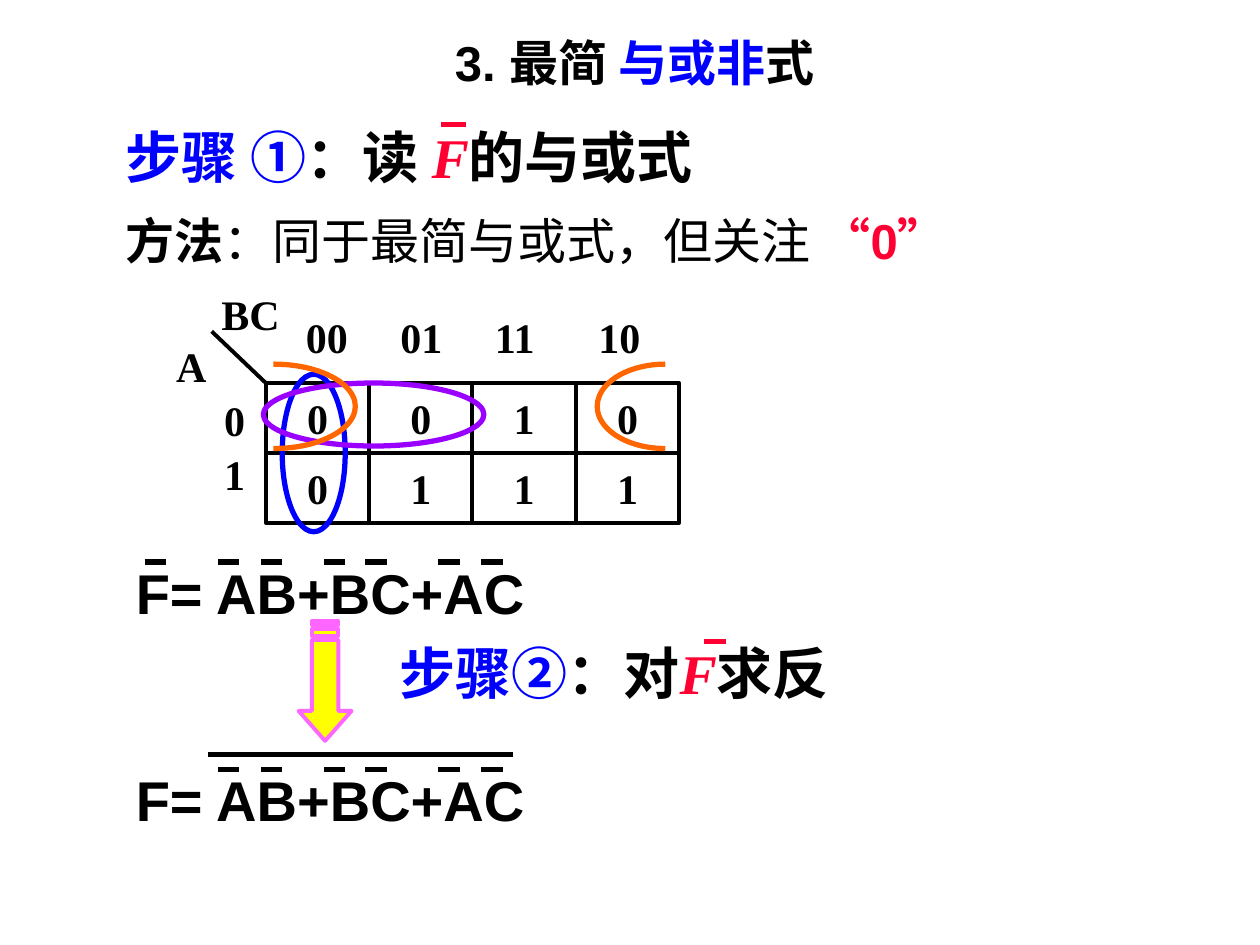
from dataclasses import dataclass

from lxml import etree
from pptx import Presentation
from pptx.dml.color import RGBColor
from pptx.enum import shapes, text
from pptx.oxml.ns import qn
from pptx.util import Inches, Pt


@dataclass(frozen=True)
class Theme:
    black: str = "000000"
    blue: str = "0000FF"
    red: str = "FF0033"
    purple: str = "9900FF"
    orange: str = "FF6600"
    yellow: str = "FFFF00"
    pink: str = "FF66FF"
    sans: str = "Arial"
    serif: str = "Times New Roman"
    cjk: str = "Noto Sans CJK SC"
    step: int = 32
    body: int = 28
    label: int = 24
    thin: float = 2.25
    thick: float = 3


T = Theme()


def add_run(p, content, size, font, color=T.black, bold=True, italic=False):
    r = p.add_run()
    r.text = content
    r.font.size, r.font.name = Pt(size), font
    r.font.bold, r.font.italic = bold, italic
    r.font.color.rgb = RGBColor.from_string(color)
    rpr = r.font._element
    rpr.set("lang", "zh-CN")
    rpr.find(qn("a:latin")).addnext(
        etree.Element(qn("a:ea"), typeface=T.cjk))


def prepare_frame(sp, anchor=text.MSO_ANCHOR.TOP):
    tf = sp.text_frame
    tf.word_wrap = True
    tf.vertical_anchor = anchor
    return tf


def add_text(parent, box, runs):
    """Add a text box; each run is (text, size, font, colour, bold, italic)."""
    sp = parent.add_textbox(*map(Inches, box))
    tf = prepare_frame(sp)
    tf.auto_size = text.MSO_AUTO_SIZE.SHAPE_TO_FIT_TEXT
    p = tf.paragraphs[0]
    for run in runs:
        add_run(p, *run)
    return tf


def add_line(parent, x1, y1, x2, y2, color=T.black, width=T.thin):
    line = parent.add_connector(
        shapes.MSO_CONNECTOR.STRAIGHT, *map(Inches, (x1, y1, x2, y2)))
    line.line.color.rgb = RGBColor.from_string(color)
    line.line.width = Pt(width)
    etree.SubElement(line._element.spPr, qn("a:effectLst"))


def add_outline(parent, kind, box, color, width):
    sp = parent.add_shape(kind, *map(Inches, box))
    sp.shadow.inherit = False
    sp.fill.background()
    sp.line.color.rgb = RGBColor.from_string(color)
    sp.line.width = Pt(width)
    return sp


def add_title(slide, box):
    sp = slide.shapes.title
    sp.left, sp.top, sp.width, sp.height = map(Inches, box)
    tf = prepare_frame(sp)
    tf.auto_size = text.MSO_AUTO_SIZE.NONE
    p = tf.paragraphs[0]
    p.alignment = text.PP_ALIGN.CENTER
    for content, color in (("3. 最简 ", T.black), ("与或非", T.blue), ("式", T.black)):
        add_run(p, content, T.body, T.sans, color)


def add_step(slide, box, heading, tail, bar_x, bar_width):
    """Add a step line whose red F carries an overbar."""
    group = slide.shapes.add_group_shape().shapes
    runs = [(content, T.step, font, color) for content, font, color in heading]
    runs += [("F", T.step, T.serif, T.red, True, True), (tail, T.step, T.serif)]
    add_text(group, box, runs)
    x, y = box[0] + bar_x, box[1] + 0.07
    add_line(group, x, y, x + bar_width, y, T.red, T.thick)


def add_method(slide, box):
    add_text(slide.shapes, box, [
        ("方法", T.body, T.sans),
        ("：同于最简与或式，但关注 ", T.body, T.sans, T.black, False),
        ("“0”", T.body, T.sans, T.red)])


def add_karnaugh_map(slide, box):
    left, top, width, height = box
    values = ("0010", "0111")
    cw, ch = width / 4, height / 2
    right, bottom = left + width, top + height
    group = slide.shapes.add_group_shape().shapes
    for i, row in enumerate(values):
        for j, value in enumerate(row):
            cell = add_outline(group, shapes.MSO_SHAPE.RECTANGLE,
                               (left + j * cw, top + i * ch, cw, ch), T.black, T.thin)
            p = prepare_frame(cell, text.MSO_ANCHOR.MIDDLE).paragraphs[0]
            p.alignment = text.PP_ALIGN.CENTER
            add_run(p, value, T.label, T.serif)
    for i in range(3):
        add_line(group, left, top + i * ch, right, top + i * ch)
    for j in range(5):
        add_line(group, left + j * cw, top, left + j * cw, bottom)
    add_line(group, left - 0.43, top - 0.41, left, top)

    def label(dx, dy, w, h, content):
        return add_text(group, (left + dx, top + dy, w, h),
                        [(content, T.label, T.serif)])

    columns = label(0.22, -0.62, 3.05, 0.5, "00\t01\t11\t10")
    ppr = columns.paragraphs[0]._p.get_or_add_pPr()
    tabs = etree.SubElement(ppr, qn("a:tabLst"))
    for stop in (0.75, 1.5, 2.32):
        etree.SubElement(tabs, qn("a:tab"), pos=str(Inches(stop)), algn="l")

    rows = label(-0.43, 0.17, 0.49, 0.82, "0")
    second = rows.add_paragraph()
    add_run(second, "1", T.label, T.serif)
    second.space_before = Pt(T.label / 2)
    for p in rows.paragraphs:
        p.line_spacing = 0.65
    label(-0.81, -0.39, 0.43, 0.5, "A")
    label(-0.45, -0.8, 1, 0.5, "BC")

    kinds = shapes.MSO_SHAPE
    for kind, dx, dy, w, h, color in (
            (kinds.OVAL, 0.13, -0.07, 0.5, 1.25, T.blue),
            (kinds.OVAL, -0.02, 0, 1.75, 0.5, T.purple),
            (kinds.RIGHT_BRACKET, 0.06, -0.15, 0.65, 0.67, T.orange),
            (kinds.LEFT_BRACKET, 2.63, -0.15, 0.54, 0.67, T.orange)):
        loop = add_outline(slide.shapes, kind, (left + dx, top + dy, w, h),
                           color, T.thick)
        if kind != kinds.OVAL:
            loop.adjustments[0] = h / w / 2


def add_formula(slide, box, inverted):
    """Add F = AB+BC+AC with its bars: over F, or over the whole right side."""
    left, top = box[:2]
    group = slide.shapes.add_group_shape().shapes
    add_text(group, box, [("F= AB+BC+AC", T.step, T.sans)])
    bars = [(dx, 0.08, 0.17) for dx in (0.75, 1.09, 1.59, 1.92, 2.5, 2.84)]
    bars.append((0.67, -0.04, 2.42) if inverted else (0.17, 0.08, 0.17))
    for dx, dy, width in bars:
        add_line(group, left + dx, top + dy, left + dx + width, top + dy,
                 T.black, T.thick)


def add_striped_arrow(slide, box):
    """Add a down arrow with two stripes above its shaft."""
    left, top, width, height = box
    x1, x2, right = left + width / 4, left + width * 3 / 4, left + width
    neck, shaft = top + height * 0.75, top + height * 5 / 32

    def stripe(start, end):
        y1, y2 = top + height * start, top + height * end
        return [(x2, y1), (x1, y1), (x1, y2), (x2, y2)]

    head = [(right, neck), (x2, neck), (x2, shaft), (x1, shaft), (x1, neck),
            (left, neck), (left + width / 2, top + height)]
    contours = [[(Inches(x), Inches(y)) for x, y in contour]
                for contour in (head, stripe(1 / 16, 1 / 8), stripe(0, 1 / 32))]
    fb = slide.shapes.build_freeform(*contours[0][0])
    for i, contour in enumerate(contours):
        if i:
            fb.move_to(*contour[0])
        fb.add_line_segments(contour[1:], close=True)
    sp = fb.convert_to_shape()
    sp.shadow.inherit = False
    sp.fill.solid()
    sp.fill.fore_color.rgb = RGBColor.from_string(T.yellow)
    sp.line.color.rgb = RGBColor.from_string(T.pink)
    sp.line.width = Pt(T.thin)


def main():
    prs = Presentation()
    prs.slide_width, prs.slide_height = Inches(10), Inches(7.5)
    slide = prs.slides.add_slide(prs.slide_layouts[5])
    add_title(slide, (1.3, 0.21, 7.47, 0.57))
    add_step(slide, (0.9, 0.92, 6.24, 0.64),
             [("步骤 ", T.serif, T.blue), ("①", T.cjk, T.blue),
              ("：", T.cjk, T.black), ("读 ", T.serif, T.black)],
             "的与或式", 2.6, 0.2)
    add_method(slide, (0.9, 1.62, 8.9, 0.57))
    add_step(slide, (3.07, 5.02, 5.04, 0.63),
             [("步骤②", T.serif, T.blue), ("：对", T.serif, T.black)],
             "求反", 2.52, 0.17)
    add_karnaugh_map(slide, (2.11, 3.04, 3.28, 1.11))
    add_formula(slide, (0.98, 4.38, 3.5, 0.63), inverted=False)
    add_formula(slide, (0.98, 6.03, 3.5, 0.63), inverted=True)
    add_striped_arrow(slide, (2.37, 4.93, 0.42, 0.95))
    prs.save("out.pptx")


if __name__ == "__main__":
    main()
